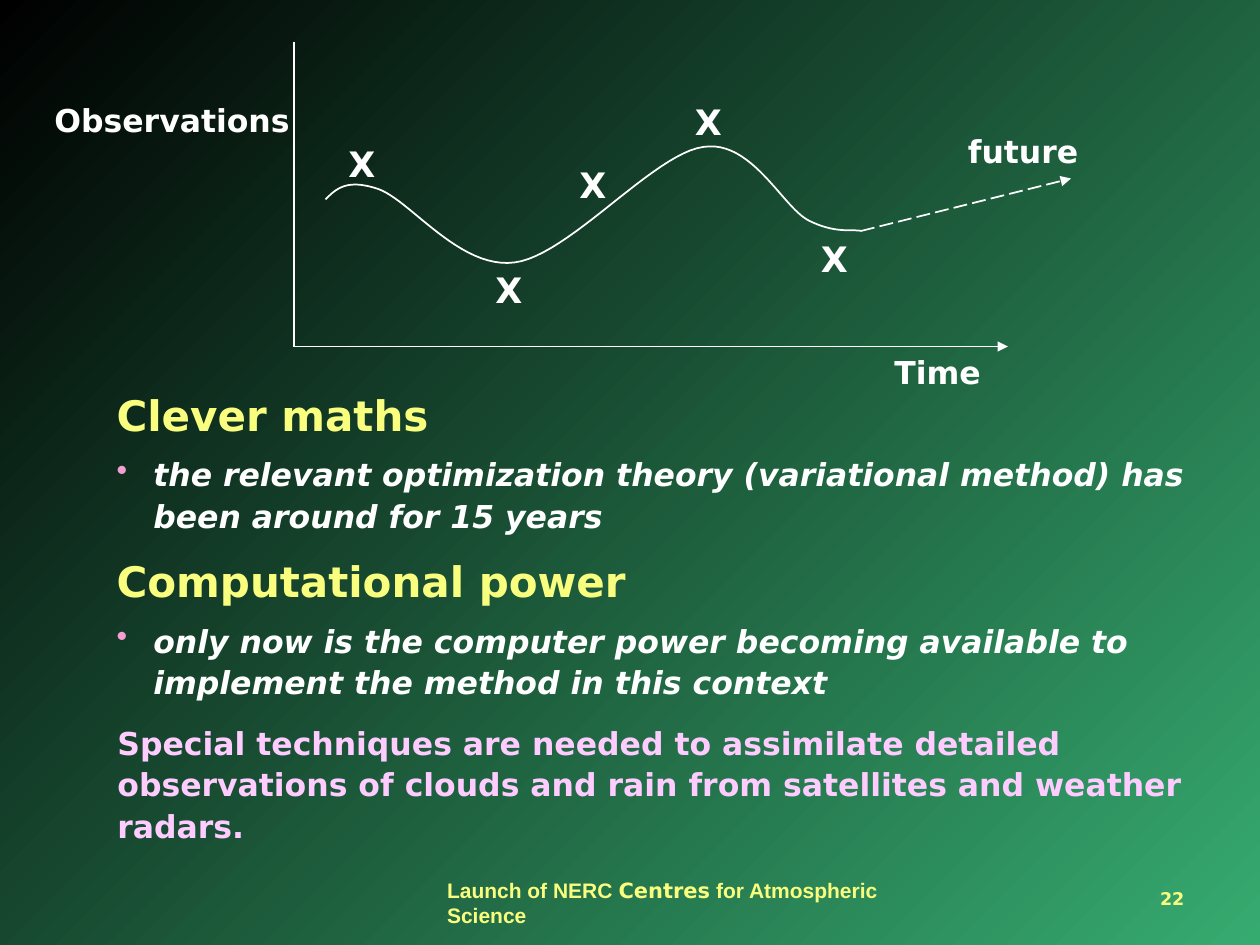
from lxml import etree
from pptx import Presentation
from pptx import util as u
from pptx.dml.color import RGBColor
from pptx.enum import dml, shapes
from pptx.oxml.ns import qn

PX = 7620  # EMU, 120 px to the inch
COLORS = {
    "green": "36AB70", "black": "000000", "white": "FFFFFF",
    "yellow": "FAFE7E", "pink": "FFCCFF", "bullet": "F39FD1",
}


def add_text(place, paragraphs, inset=12):
    """Add a text box; each paragraph is (runs, paragraph format, bulleted),
    and each run is (text, size, colour, font values)."""
    box = page.shapes.add_textbox(*(n * PX for n in place))
    frame = box.text_frame
    frame.word_wrap = True
    frame.margin_left = frame.margin_right = inset * PX
    for index, (runs, layout, bulleted) in enumerate(paragraphs):
        para = frame.paragraphs[0] if index == 0 else frame.add_paragraph()
        if bulleted:
            props = para._p.get_or_add_pPr()
            props.set("marL", str(35 * PX))
            props.set("indent", str(-35 * PX))
            tint = etree.SubElement(props, qn("a:buClr"))
            etree.SubElement(tint, qn("a:srgbClr"), val=COLORS["bullet"])
            etree.SubElement(props, qn("a:buChar"), char="•")
        for name, value in layout.items():
            setattr(para, name, value)
        for words, size, color, values in runs:
            span = para.add_run()
            span.text = words
            look = {"name": "DejaVu Sans", "bold": True, "size": u.Pt(size)}
            for name, value in (look | values).items():
                setattr(span.font, name, value)
            span.font.color.rgb = RGBColor.from_string(COLORS[color])


def style_line(shape, arrow=False, dash=None):
    line = shape.line
    line.color.rgb = RGBColor.from_string(COLORS["white"])
    line.width = u.Pt(1)
    if dash:
        line.dash_style = dash
    if arrow:
        etree.SubElement(line._get_or_add_ln(), qn("a:tailEnd"), type="triangle")


deck = Presentation()
deck.slide_width, deck.slide_height = 1200 * PX, 900 * PX
page = deck.slides.add_slide(deck.slide_layouts[6])

backdrop = page.background.fill
backdrop.gradient()
backdrop.gradient_angle = 135
for stop, color in zip(backdrop.gradient_stops, ("green", "black")):
    stop.color.rgb = RGBColor.from_string(COLORS[color])

# Footer
add_text((1093, 840, 109, 35), [([("22", 10, "yellow", {})], {}, False)])
arial = {"name": "Arial"}
footer = [
    ("Launch of NERC ", 12, "yellow", arial),
    ("Centres", 12, "yellow", {}),
    (" for Atmospheric Science", 12, "yellow", arial),
]
add_text((414, 830, 505, 36), [(footer, {}, False)])

# Axes and forecast arrow
for ends, arrow, dash in [
    ((280, 40, 280, 330), False, None),
    ((280, 330, 960, 330), True, None),
    ((820, 220, 1020, 170), True, dml.MSO_LINE.LONG_DASH),
]:
    connector = page.shapes.add_connector(
        shapes.MSO_CONNECTOR.STRAIGHT, *(n * PX for n in ends))
    style_line(connector, arrow, dash)
    etree.SubElement(connector._element.spPr, qn("a:effectLst"))

# Observed curve: Bézier control points, each segment sampled finely
start = (310, 190)
segments = [
    ((320, 180), (330, 170), (360, 180)),
    ((390, 190), (438, 257), (490, 250)),
    ((541, 244), (623, 146), (670, 140)),
    ((716, 133), (745, 197), (770, 210)),
    ((796, 223), (811, 218), (820, 220)),
]
STEPS = 24
points = [start]
for first, second, end in segments:
    corners = (points[-1], first, second, end)
    for step in range(1, STEPS + 1):
        t = step / STEPS
        weights = ((1 - t) ** 3, 3 * t * (1 - t) ** 2, 3 * t * t * (1 - t), t ** 3)
        points.append(tuple(
            sum(w * corner[axis] for w, corner in zip(weights, corners))
            for axis in (0, 1)))
outline = [(round(x * PX), round(y * PX)) for x, y in points]
builder = page.shapes.build_freeform(*outline[0])
builder.add_line_segments(outline[1:], close=False)
curve = builder.convert_to_shape()
curve.shadow.inherit = False
curve.fill.background()
style_line(curve)

# Chart labels and observation marks
for words, place in [
    ("Time", (840, 330, 180, 48)),
    ("Observations", (40, 90, 250, 48)),
    ("future", (910, 120, 180, 48)),
]:
    add_text(place, [([(words, 18, "white", {})], {}, False)])
for left, top in [(320, 130), (460, 250), (540, 150), (650, 90), (770, 220)]:
    add_text((left, top, 50, 53), [([("X", 20, "white", {})], {}, False)])

# Arguments
body = []
for heading, detail in [
    ("Clever maths",
     "the relevant optimization theory (variational method) has been around for 15 years"),
    ("Computational power",
     "only now is the computer power becoming available to implement the method in this context"),
]:
    spacing = {"line_spacing": 1.1}
    above = {"space_before": u.Pt(9)} if body else {}
    body.append(([(heading, 24, "yellow", {})], spacing | above, False))
    body.append(([(detail, 18, "white", {"italic": True})],
                 spacing | {"space_before": u.Pt(6.8)}, True))
add_text((100, 360, 1060, 320), body, inset=11)

closing = ("Special techniques are needed to assimilate detailed observations "
           "of clouds and rain from satellites and weather radars.")
add_text((100, 680, 1070, 91),
         [([(closing, 18, "pink", {})], {"line_spacing": 1.1}, False)])

deck.save("out.pptx")
